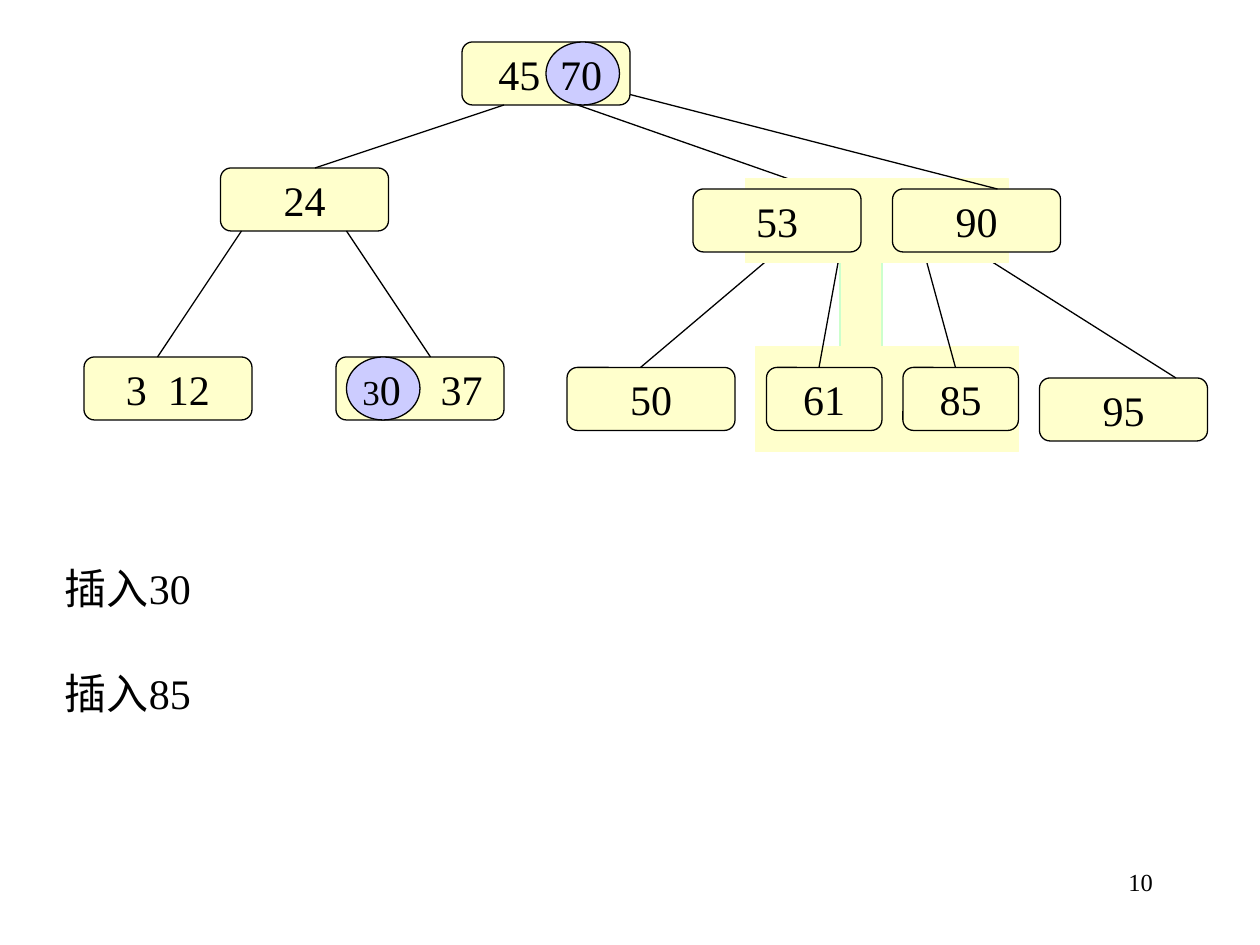
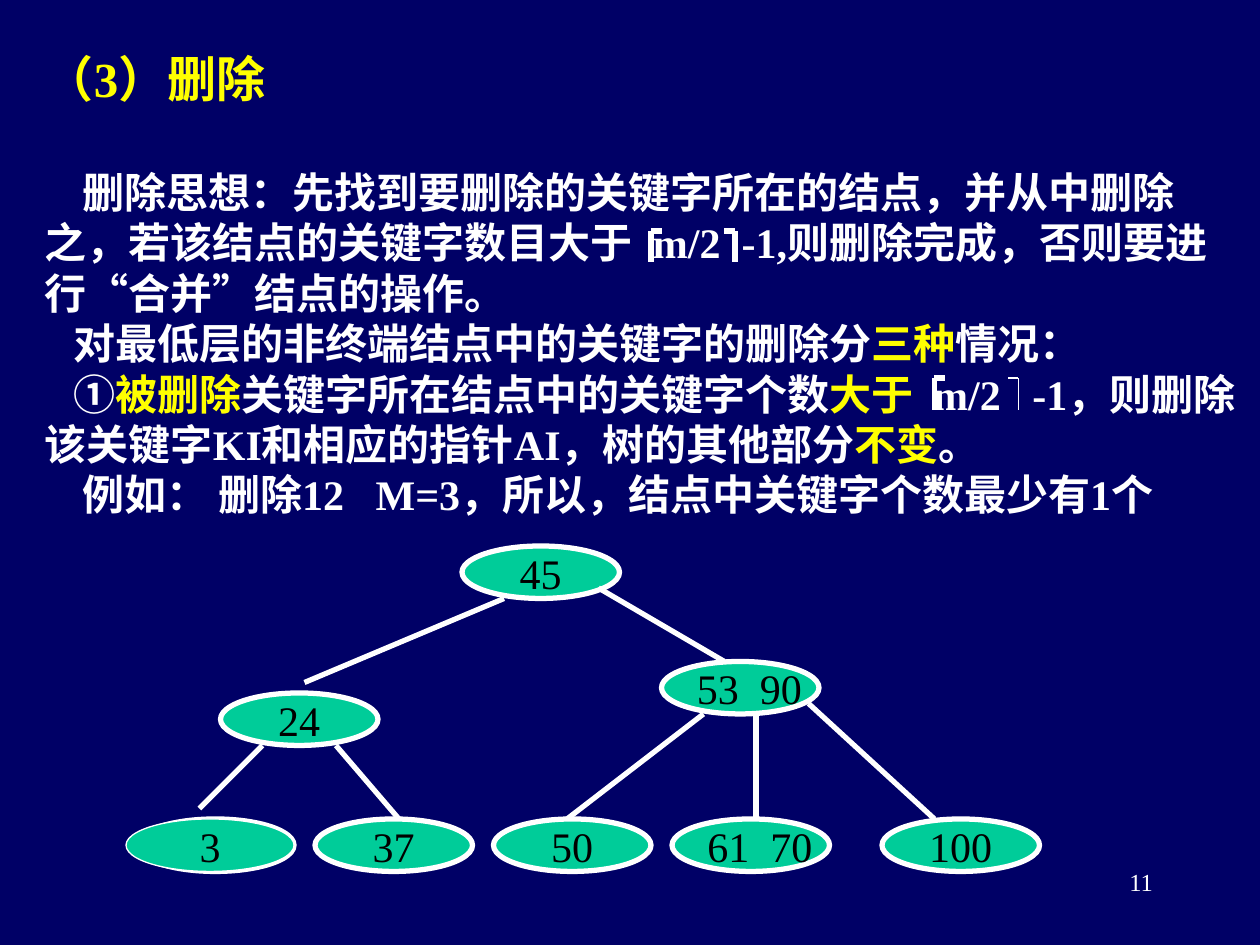
from lxml import etree
from pptx import Presentation
from pptx.dml.color import RGBColor
from pptx.enum.shapes import MSO_CONNECTOR, MSO_SHAPE
from pptx.enum.text import MSO_ANCHOR, MSO_AUTO_SIZE, PP_ALIGN
from pptx.oxml.ns import qn
from pptx.util import Cm, Pt

BLACK, WHITE, YELLOW, NAVY = "000000", "FFFFFF", "FFFF00", "000066"
CREAM, MINT, LILAC, GREEN = "FFFFCC", "CCFFCC", "CCCCFF", "00CC99"
THIN, THICK = 0.75, 3
INSET_X, INSET_Y = Cm(0.25), Cm(0.13)


def rgb(value):
    return RGBColor.from_string(value)


def grid(n):
    return Cm(2.54 * n / 12)


def box(x, y, w, h):
    return [grid(n) for n in (x, y, w, h)]


def set_all(target, values):
    for name, value in values.items():
        setattr(target, name, value)


def add_run(p, text, color=BLACK, size=24, bold=False):
    r = p.add_run()
    r.text = text
    set_all(r.font, {"name": "Times New Roman", "size": Pt(size), "bold": bold})
    r.font.color.rgb = rgb(color)
    return r


def add_gap(p, extra=6, **values):
    add_run(p, " ", **values).font._element.set("spc", str(extra * 100))


def add_keys(p, keys):
    for i, key in enumerate(keys):
        if i:
            add_gap(p)
        add_run(p, key)


def frame(sp, **values):
    tf = sp.text_frame
    base = {"margin_left": INSET_X, "margin_right": INSET_X, "margin_top": INSET_Y,
            "margin_bottom": INSET_Y, "auto_size": MSO_AUTO_SIZE.NONE, "word_wrap": True,
            "vertical_anchor": MSO_ANCHOR.TOP}
    set_all(tf, base | values)
    return tf


def add_text(s, at, text, color=BLACK, size=24, align=PP_ALIGN.LEFT):
    p = frame(s.shapes.add_textbox(*box(*at))).paragraphs[0]
    p.alignment = align
    add_run(p, text, color, size)


def add_shape(s, kind, at, fill, line=BLACK, width=THIN):
    sp = s.shapes.add_shape(kind, *box(*at))
    sp.shadow.inherit = False
    sp.fill.solid()
    sp.fill.fore_color.rgb = rgb(fill)
    sp.line.color.rgb = rgb(line)
    sp.line.width = Pt(width)
    return sp


def add_node(s, kind, at, keys, fill, line=BLACK, width=THIN, align=PP_ALIGN.CENTER, **margins):
    sp = add_shape(s, kind, at, fill, line, width)
    tf = frame(sp, word_wrap=False, vertical_anchor=MSO_ANCHOR.MIDDLE, **margins)
    tf.paragraphs[0].alignment = align
    add_keys(tf.paragraphs[0], keys)
    return sp


def add_line(s, x1, y1, x2, y2, color=BLACK, width=THIN):
    c = s.shapes.add_connector(MSO_CONNECTOR.STRAIGHT, *box(x1, y1, x2, y2))
    c.line.color.rgb = rgb(color)
    c.line.width = Pt(width)
    etree.SubElement(c._element.spPr, qn("a:effectLst"))


def new_slide(prs, layout, background, number, color):
    s = prs.slides.add_slide(prs.slide_layouts[layout])
    s.background.fill.solid()
    s.background.fill.fore_color.rgb = rgb(background)
    add_text(s, (86, 82, 25, 6), number, color, 14, PP_ALIGN.RIGHT)
    return s


def insertion_tree(s, x, y):
    def node(dx, dy, *keys, w=16, **margins):
        add_node(s, MSO_SHAPE.ROUNDED_RECTANGLE, (x + dx, y + dy, w, 6), keys, CREAM, **margins)

    def edges(*ends):
        for x1, y1, x2, y2 in ends:
            add_line(s, x + x1, y + y1, x + x2, y + y2)

    def band(dx, dy, w, h, line=CREAM):
        add_shape(s, MSO_SHAPE.RECTANGLE, (x + dx, y + dy, w, h), CREAM, line)

    def mark(dx, dy, *runs):
        sp = add_node(s, MSO_SHAPE.OVAL, (x + dx, y + dy, 7, 6), (), LILAC,
                      margin_left=0, margin_right=Cm(0.06))
        for text, size in runs:
            add_run(sp.text_frame.paragraphs[0], text, size=size)

    node(36, 0, "45", margin_right=Cm(1.32))
    node(13, 12, "24")
    node(0, 30, "3", "12")
    node(24, 30, "37", margin_left=Cm(1.93))
    node(46, 31, "50")
    node(91, 32, "95")
    edges((40, 6, 22, 12), (47, 6, 67, 13), (15, 18, 7, 30), (25, 18, 33, 30),
          (66, 20, 53, 31), (85, 20, 104, 32))
    band(72, 21, 4, 11, MINT)
    band(64, 29, 25, 10)
    node(65, 31, "61", w=11)
    node(78, 31, "85", w=11)
    edges((72, 20, 70, 31), (80, 20, 83, 31))
    band(63, 13, 25, 8)
    node(58, 14, "53")
    node(77, 14, "90")
    edges((52, 5, 87, 14))
    mark(25, 30, ("3", 20), ("0", 24))
    mark(44, 0, ("70", 24))


def deletion_tree(s, x, y):
    def node(dx, dy, *keys, w=15, width=THICK):
        align = PP_ALIGN.LEFT if len(keys) > 1 else PP_ALIGN.CENTER
        add_node(s, MSO_SHAPE.OVAL, (x + dx, y + dy, w, 5), keys, GREEN, WHITE, width, align)

    node(32, 0, "45")
    node(51, 11, "53", "90")
    node(9, 14, "24")
    for dx, keys in ((1, ()), (18, ("37",)), (35, ("50",)), (52, ("61", "70")), (72, ("100",))):
        node(dx, 26, *keys)
    for x1, y1, x2, y2 in ((36, 5, 17, 13), (45, 4, 57, 11), (13, 19, 7, 25), (20, 19, 26, 26),
                           (55, 16, 42, 26), (60, 16, 60, 26), (65, 15, 77, 26)):
        add_line(s, x + x1, y + y1, x + x2, y + y2, WHITE, THICK)
    node(0, 26, "3", w=16, width=THIN)


def ceiling_mark(s, x, y, foot, width=THICK):
    add_line(s, x, y, x, y + 3, WHITE, width)
    add_line(s, x, y, x + foot, y, WHITE, width)


def section_title(s, at, text):
    sp = s.shapes.title
    set_all(sp, dict(zip(("left", "top", "width", "height"), box(*at))))
    p = frame(sp).paragraphs[0]
    p.alignment = PP_ALIGN.LEFT
    add_run(p, text, YELLOW, 28, True)


def deletion_text(s, at):
    lines = [
        (0.76, ["删除思想：先找到要删除的关键字所在的结点，并从中删除"]),
        (0, ["之，若该结点的关键字数目大于", 6, "m/2", 6, "-1,则删除完成，否则要进"]),
        (0, ["行“合并”结点的操作。"]),
        (0.57, ["对最低层的非终端结点中的关键字的删除分", ("三种", YELLOW), "情况："]),
        (0.57, ["①", ("被删除", YELLOW), "关键字所在结点中的关键字个数", ("大于", YELLOW),
                6, "m/2", 12, "-1，则删除"]),
        (0, ["该关键字KI和相应的指针AI，树的其他部分", ("不变", YELLOW), "。"]),
        (0.76, ["例如： 删除12", 12, "M=3，所以，结点中关键字个数最少有1个"]),
    ]
    tf = frame(s.shapes.add_textbox(*box(*at)), word_wrap=False)
    for i, (indent, parts) in enumerate(lines):
        p = tf.add_paragraph() if i else tf.paragraphs[0]
        p._p.get_or_add_pPr().set("indent", str(Cm(indent)))
        for part in parts:
            if isinstance(part, int):
                add_gap(p, part, color=WHITE, bold=True)
            else:
                text, color = part if isinstance(part, tuple) else (part, WHITE)
                add_run(p, text, color, bold=True)


def insertion_slide(prs):
    s = new_slide(prs, 6, WHITE, "10", BLACK)
    insertion_tree(s, 8, 4)
    for y, text in ((53, "插入30"), (63, "插入85")):
        add_text(s, (5, y, 18, 6), text)


def deletion_slide(prs):
    s = new_slide(prs, 5, NAVY, "11", WHITE)
    section_title(s, (3.1, 4, 60, 7), "（3）删除")
    deletion_text(s, (3.1, 15.25, 117.6, 35))
    for x, y, right_width in ((62, 22, THICK), (89, 36, THIN)):
        ceiling_mark(s, x, y, 1)
        ceiling_mark(s, x + 8, y, -1, right_width)
    deletion_tree(s, 12, 52)


def main():
    prs = Presentation()
    prs.slide_width, prs.slide_height = Cm(25.4), Cm(19.05)
    insertion_slide(prs)
    deletion_slide(prs)
    prs.save("out.pptx")


if __name__ == "__main__":
    main()
